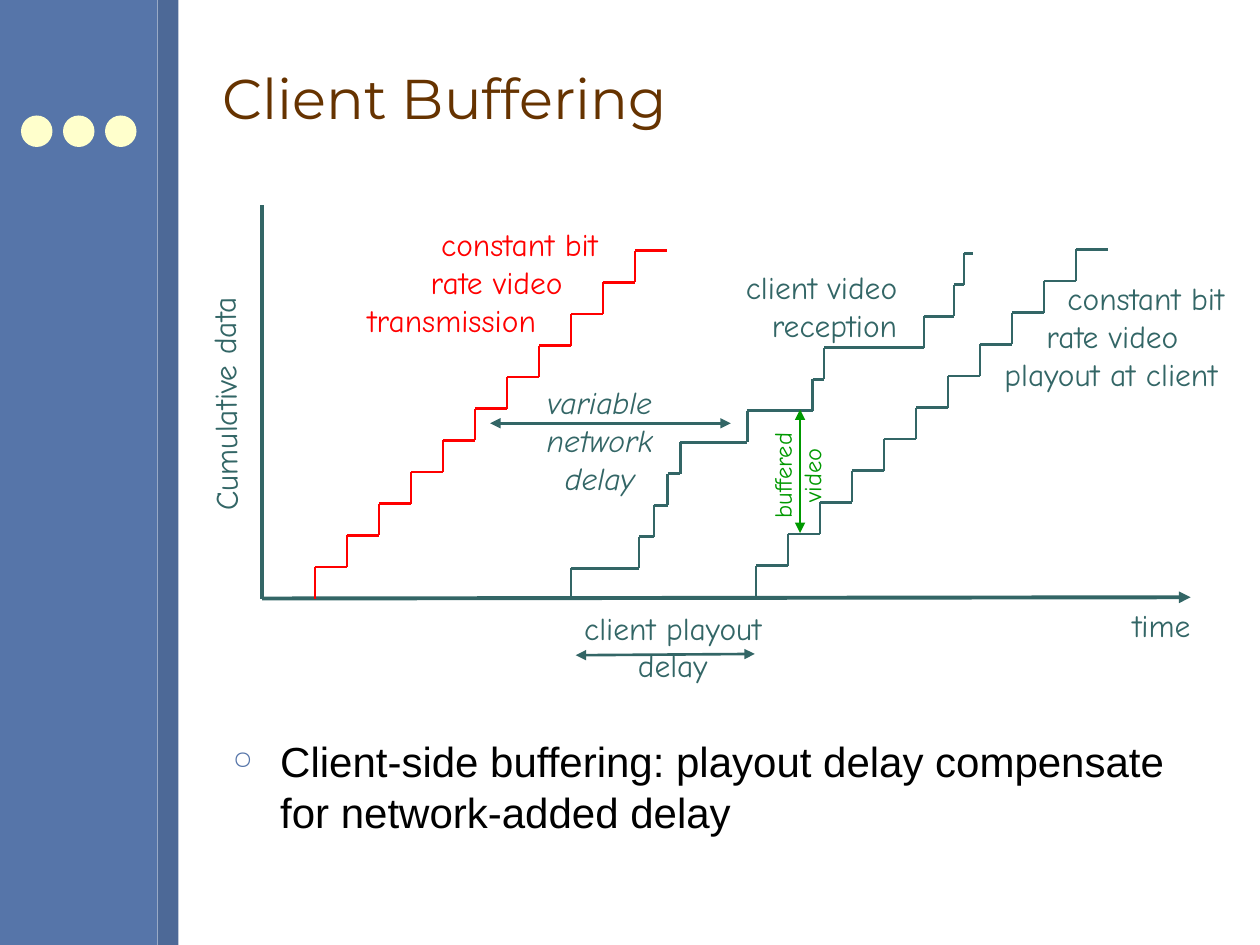
from dataclasses import dataclass

from lxml import etree
from pptx import Presentation
from pptx.dml.color import RGBColor
from pptx.enum.shapes import MSO_CONNECTOR, MSO_SHAPE
from pptx.enum.text import MSO_ANCHOR, PP_ALIGN
from pptx.oxml.ns import qn
from pptx.util import Pt

LEFT, CENTER, RIGHT = PP_ALIGN.LEFT, PP_ALIGN.CENTER, PP_ALIGN.RIGHT
TOP, MIDDLE = MSO_ANCHOR.TOP, MSO_ANCHOR.MIDDLE
STRAIGHT = MSO_CONNECTOR.STRAIGHT
RECTANGLE, OVAL = MSO_SHAPE.RECTANGLE, MSO_SHAPE.OVAL
TEAL, RED, GREEN, BLUE = "336666", "FF0000", "009900", "5675A9"
DARK_BLUE, CREAM, BROWN, BLACK = "4D6997", "FFFFCC", "663300", "000000"
HAND_FONT = "Comic Neue"


@dataclass
class Line:
    """A straight line with optional arrowheads."""
    start: tuple[float, float]
    end: tuple[float, float]
    color: str = TEAL
    width: float = 1.5
    heads: tuple[str, ...] = ()


@dataclass
class Staircase:
    """A stepped curve that starts on the time axis."""
    left: float
    base: float
    rise: float
    runs: list[float]
    color: str = TEAL


@dataclass
class Label:
    """A text box with one paragraph per line of text."""
    lines: tuple[str, ...]
    left: float
    top: float
    width: float
    height: float
    color: str = TEAL
    size: float = 18
    font: str = HAND_FONT
    align: PP_ALIGN = LEFT
    anchor: MSO_ANCHOR = TOP
    italic: bool = False
    wrap: bool = False
    rotation: float = 0
    indents: tuple[float, ...] = ()
    bullet: str = ""


BOTH_HEADS = ("a:headEnd", "a:tailEnd")
EVEN_RUNS = [18.29] * 10 + [18]
RECEPTION_RUNS = [38.9, 8.6, 7.9, 7.2, 38.2, 37.4, 6.5, 57.2, 17, 5.8, 5]

AXES = [
    Line((149.8, 117.4), (149.8, 342), width=2.25),
    Line((149.8, 342), (680.4, 341.3), width=2.25, heads=("a:tailEnd",)),
]
STAIRCASES = [
    Staircase(180, 342, 18.07, EVEN_RUNS, RED),
    Staircase(326.2, 342.7, 18, RECEPTION_RUNS),
    Staircase(432, 341.3, 18.07, EVEN_RUNS),
]
SPANS = [
    Line((457.2, 304.6), (457.2, 234), GREEN, heads=BOTH_HEADS),
    Line((280.1, 241.9), (417.6, 241.9), heads=BOTH_HEADS),
    Line((329, 374.4), (431.3, 373.7), heads=BOTH_HEADS),
]
LABELS = [
    Label(("constant bit", "rate video", "playout at client"), 560.9, 156.2, 152.6, 72,
          wrap=True, indents=(42, 30, 6)),
    Label(("buffered", "video"), 423.4, 251.3, 64.1, 41, GREEN, 14, align=CENTER, rotation=270),
    Label(("constant bit", "rate video", "transmission"), 203, 125.3, 152.6, 72, RED,
          wrap=True, indents=(42, 36, 0)),
    Label(("Cumulative data",), 51.1, 207.4, 154.1, 28.8, wrap=True, rotation=269.4),
    Label(("time",), 640.1, 342.7, 47.5, 28.8),
    Label(("variable", "network", "delay"), 297.7, 215.3, 90, 72,
          align=CENTER, italic=True, wrap=True),
    Label(("client video", "reception"), 419, 149.8, 100.8, 50.4, align=RIGHT),
    Label(("client playout", "delay"), 318.2, 344.2, 132.5, 50.4, align=CENTER, wrap=True),
    Label(("Client Buffering",), 120, 14.6, 576, 81.4, BROWN, 32, "Montserrat",
          anchor=MIDDLE, wrap=True),
    Label(("Client-side buffering: playout delay compensate for network-added delay",),
          126, 417, 570.2, 77.5, BLACK, 24, "Arial", wrap=True, indents=(27,), bullet="○"),
]


def rgb(color: str) -> RGBColor:
    """Turn a hex string into a colour."""
    return RGBColor.from_string(color)


def draw_shape(slide, kind: MSO_SHAPE, left: float, top: float,
               width: float, height: float, color: str) -> None:
    """Draw a plain filled shape."""
    shape = slide.shapes.add_shape(kind, Pt(left), Pt(top), Pt(width), Pt(height))
    shape.shadow.inherit = False
    shape.fill.solid()
    shape.fill.fore_color.rgb = rgb(color)
    shape.line.fill.background()


def draw_line(slide, line: Line) -> None:
    """Draw a line with its arrowheads."""
    points = [Pt(value) for value in (*line.start, *line.end)]
    connector = slide.shapes.add_connector(STRAIGHT, *points)
    connector.line.color.rgb = rgb(line.color)
    connector.line.width = Pt(line.width)
    properties = connector.line._get_or_add_ln()
    for head in line.heads:
        etree.SubElement(properties, qn(head), type="triangle")
    etree.SubElement(connector._element.spPr, qn("a:effectLst"))


def draw_staircase(slide, staircase: Staircase) -> None:
    """Draw one riser and one tread for every run."""
    x, y = staircase.left, staircase.base
    for run in staircase.runs:
        top = y - staircase.rise
        draw_line(slide, Line((x, y), (x, top), staircase.color))
        draw_line(slide, Line((x, top), (x + run, top), staircase.color))
        x, y = x + run, top


def format_indent(paragraph, indent: float, bullet: str) -> None:
    """Set the left indent and an optional hanging bullet."""
    properties = paragraph._p.get_or_add_pPr()
    properties.set("marL", str(Pt(indent)))
    if bullet:
        properties.set("indent", str(-Pt(indent)))
        bullet_color = etree.SubElement(properties, qn("a:buClr"))
        etree.SubElement(bullet_color, qn("a:srgbClr"), val=BLUE)
        etree.SubElement(properties, qn("a:buSzPct"), val="60000")
        etree.SubElement(properties, qn("a:buChar"), char=bullet)


def draw_label(slide, label: Label) -> None:
    """Draw a text box, run by run."""
    shape = slide.shapes.add_textbox(Pt(label.left), Pt(label.top), Pt(label.width), Pt(label.height))
    shape.rotation = label.rotation
    frame = shape.text_frame
    frame.word_wrap = label.wrap
    frame.vertical_anchor = label.anchor
    for index, text in enumerate(label.lines):
        paragraph = frame.add_paragraph() if index else frame.paragraphs[0]
        paragraph.alignment = label.align
        if label.indents:
            format_indent(paragraph, label.indents[index], label.bullet)
        run = paragraph.add_run()
        run.text = text
        run.font.name = label.font
        run.font.size = Pt(label.size)
        run.font.italic = label.italic
        run.font.color.rgb = rgb(label.color)


def main() -> None:
    """Build the slide and save it."""
    presentation = Presentation()
    presentation.slide_width, presentation.slide_height = Pt(720), Pt(540)
    slide = presentation.slides.add_slide(presentation.slide_layouts[6])
    draw_shape(slide, RECTANGLE, 0, 0, 90, 540, BLUE)
    draw_shape(slide, RECTANGLE, 90, 0, 12, 540, DARK_BLUE)
    for index in range(3):
        draw_shape(slide, OVAL, 12 + 24 * index, 66, 18, 18, CREAM)
    for line in AXES:
        draw_line(slide, line)
    for staircase in STAIRCASES:
        draw_staircase(slide, staircase)
    for line in SPANS:
        draw_line(slide, line)
    for label in LABELS:
        draw_label(slide, label)
    presentation.save("out.pptx")


if __name__ == "__main__":
    main()
